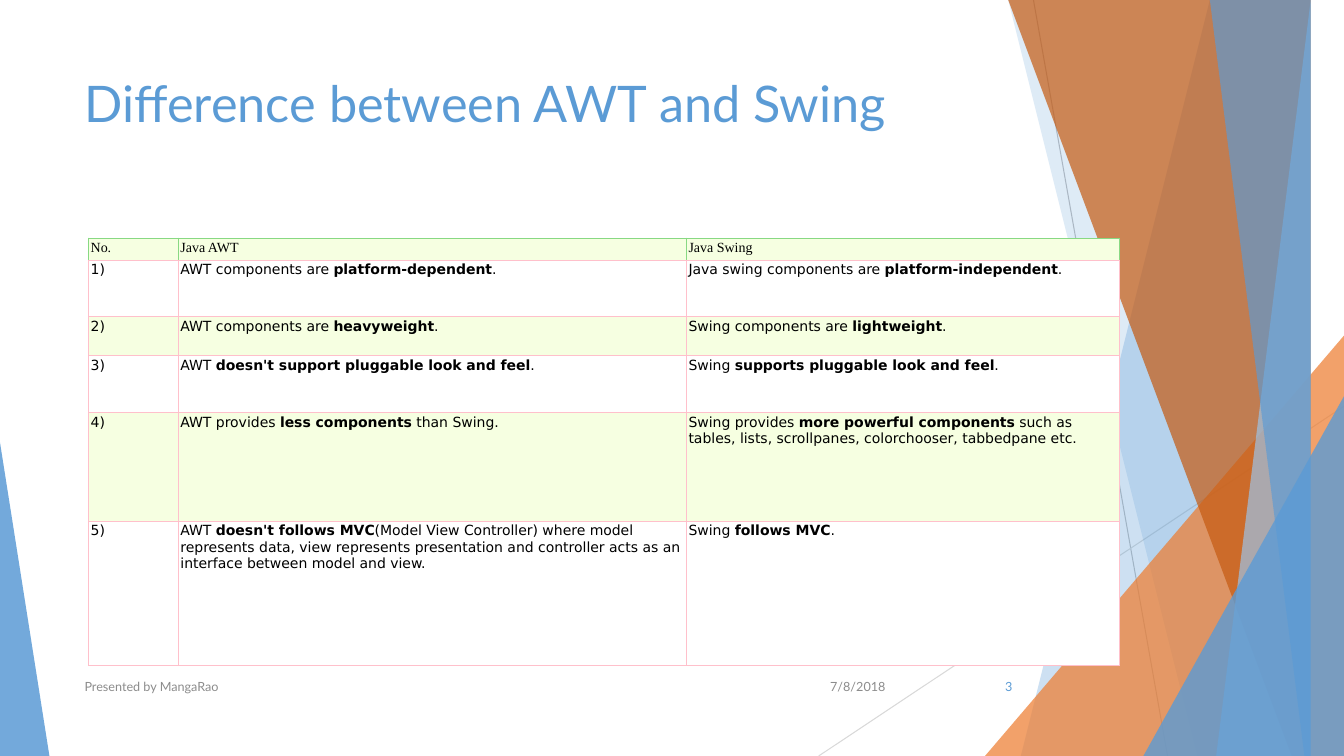
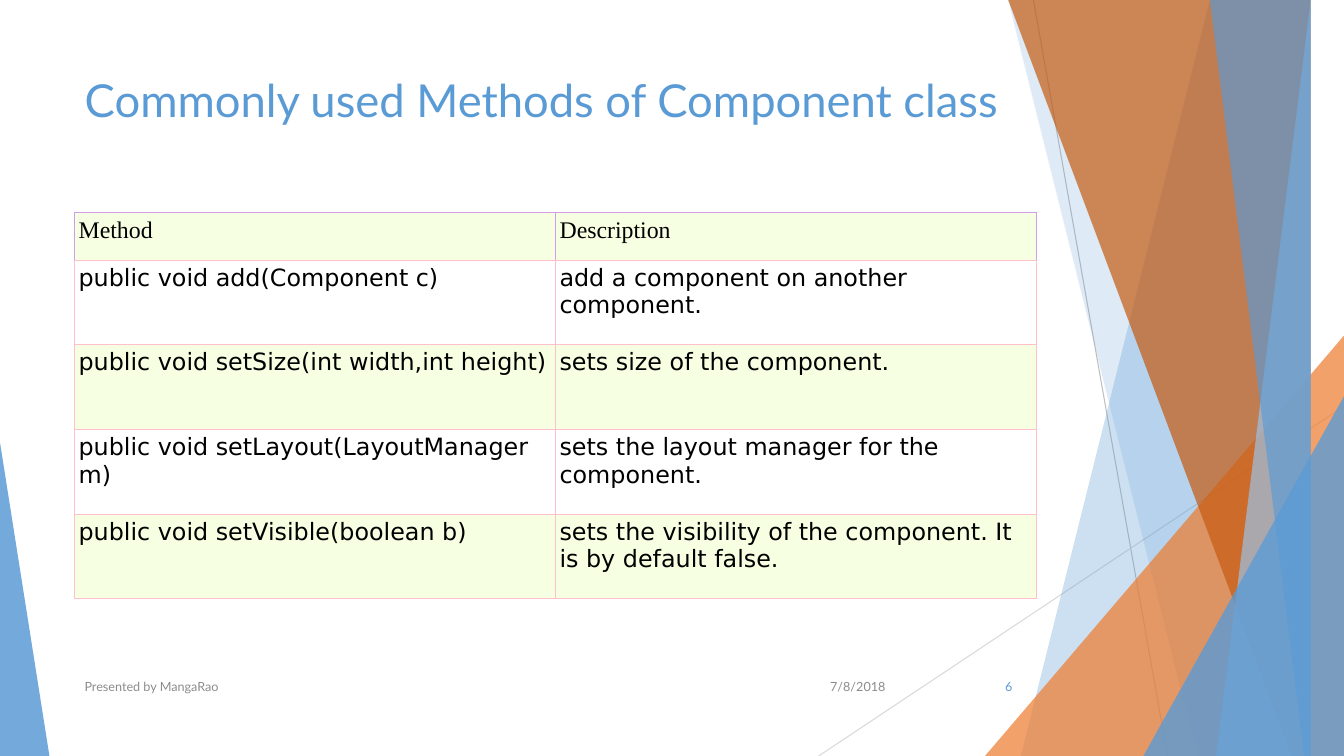
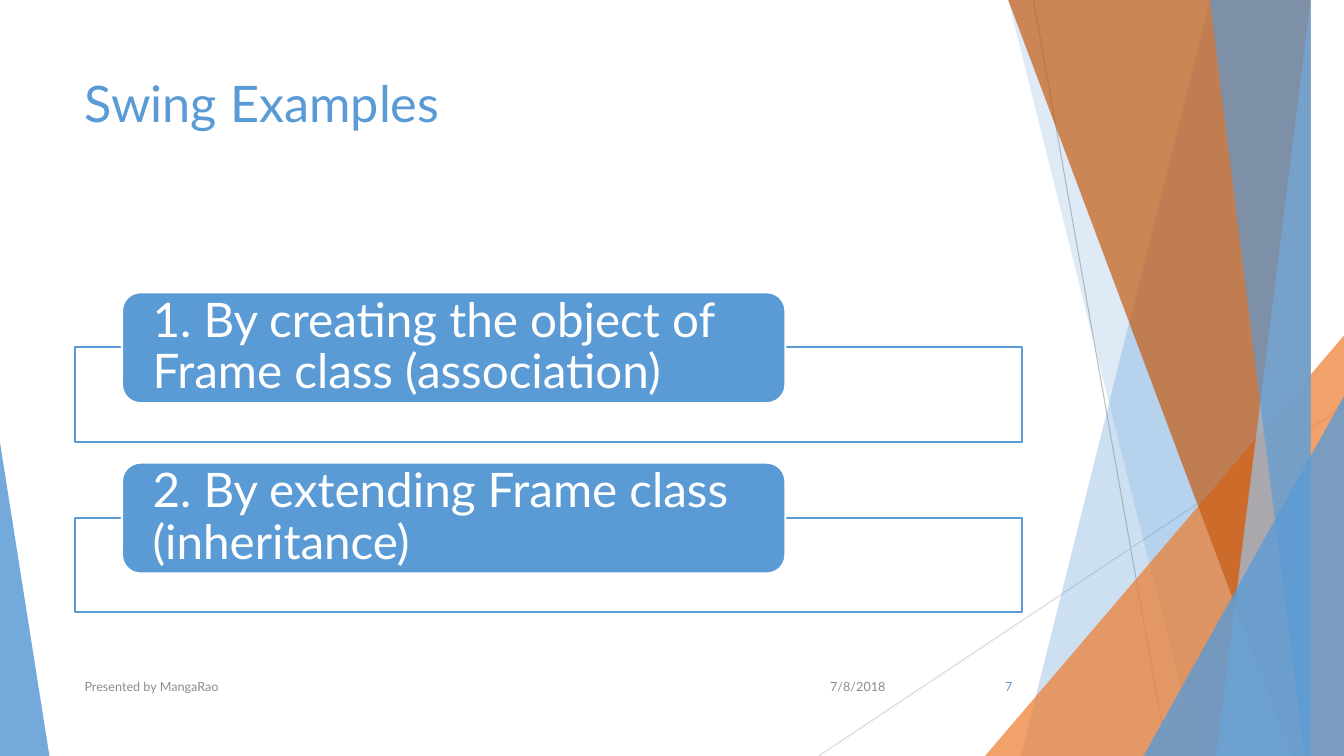
from pptx import Presentation
from pptx.dml.color import RGBColor as RGB
from pptx.enum.shapes import MSO_CONNECTOR as CON, MSO_SHAPE as SHAPE
from pptx.enum.text import MSO_ANCHOR as ANCHOR, MSO_AUTO_SIZE as FIT, PP_ALIGN as ALIGN
from pptx.oxml.ns import qn
from pptx.util import Inches, Pt
from lxml.etree import SubElement

BLUE = RGB(0x5B, 0x9B, 0xD5)
SKY = RGB(0x9D, 0xC3, 0xE6)
ORANGE = RGB(0xED, 0x7D, 0x31)
RUST = RGB(0xC5, 0x5A, 0x11)
GRAY = RGB(0x8C, 0x8C, 0x8C)
SILVER = RGB(0xBF, 0xBF, 0xBF)
PALE = RGB(0xD9, 0xD9, 0xD9)
WHITE = RGB(0xFF, 0xFF, 0xFF)
BLACK = RGB(0, 0, 0)
CREAM = RGB(0xF6, 0xFF, 0xE1)
PINK = RGB(0xFF, 0xC0, 0xCB)
GREEN = RGB(0x88, 0xD9, 0x83)
LILAC = RGB(0xD0, 0x9F, 0xE8)
SANS, SERIF, TITLE = "DejaVu Sans", "Times New Roman", "Lato"
WIDE, HIGH, LEFT, SPAN = 13.33, 7.5, 0.74, 9.4


class Deck:
    """Hold the shared style and the current slide."""

    def __init__(self):
        self.prs = Presentation()
        self.prs.slide_width = Inches(WIDE)
        self.prs.slide_height = Inches(HIGH)
        self.slide = None

    def page(self, title, num, size=36):
        self.slide = self.prs.slides.add_slide(self.prs.slide_layouts[5])
        self.decor()
        self.title(title, size)
        self.label("7/8/2018", 7.88, 1, GRAY, ALIGN.RIGHT)
        self.label("Presented by MangaRao", LEFT, 6.89, GRAY, ALIGN.LEFT)
        self.label(str(num), 9.39, 0.75, BLUE, ALIGN.RIGHT)

    def decor(self):
        self.line(10.25, 0, 11.58, HIGH, SILVER)
        self.line(WIDE, 4.03, 8.12, HIGH, PALE)
        self.band(12.28, 10.04, BLUE, 30)
        self.band(10.5, 11.83, BLUE, 20)
        self.wedge(9.77, 3.33, 3.56, 1, ORANGE, 72)
        self.band(10.21, 12.91, RUST, 70)
        self.band(13.03, 11.92, SKY, 70)
        self.band(11.96, 13.18, BLUE, 65)
        self.wedge(11.34, 3.93, 1.99, 1, BLUE, 80)
        self.wedge(0, 4.39, 0.49, 0, BLUE, 85)

    def line(self, x1, y1, x2, y2, color):
        ends = [Inches(v) for v in (x1, y1, x2, y2)]
        rule = self.slide.shapes.add_connector(CON.STRAIGHT, *ends)
        rule.line.color.rgb = color
        rule.line.width = Pt(0.75)
        SubElement(rule.element.spPr, qn("a:effectLst"))

    def paint(self, shape, color, alpha=100, edge=None):
        shape.shadow.inherit = False
        shape.fill.solid()
        shape.fill.fore_color.rgb = color
        if alpha < 100:
            tint = shape.element.spPr.find(".//" + qn("a:srgbClr"))
            SubElement(tint, qn("a:alpha"), val=str(alpha * 1000))
        if edge is None:
            shape.line.fill.background()
        else:
            shape.line.color.rgb = edge
            shape.line.width = Pt(1.5)

    def band(self, top, base, color, alpha):
        form = self.slide.shapes.build_freeform(top, 0, scale=Inches(1))
        form.add_line_segments([(WIDE, 0), (WIDE, HIGH), (base, HIGH)])
        self.paint(form.convert_to_shape(), color, alpha)

    def shape(self, kind, x, y, w, h):
        return self.slide.shapes.add_shape(kind, Inches(x), Inches(y), Inches(w), Inches(h))

    def wedge(self, x, y, w, tip, color, alpha):
        wedge = self.shape(SHAPE.ISOSCELES_TRIANGLE, x, y, w, HIGH - y)
        wedge.adjustments[0] = tip
        self.paint(wedge, color, alpha)

    def run(self, para, text, size, color, font=TITLE, bold=False):
        run = para.add_run()
        run.text = text
        run.font.size = Pt(size)
        run.font.name = font
        run.font.bold = bold
        run.font.color.rgb = color

    def title(self, text, size):
        head = self.slide.shapes.title
        head.left, head.top = Inches(LEFT), Inches(0.67)
        head.width, head.height = Inches(SPAN), Inches(1.44)
        frame = head.text_frame
        frame.auto_size = FIT.NONE
        frame.vertical_anchor = ANCHOR.TOP
        para = frame.paragraphs[0]
        para.alignment = ALIGN.LEFT
        self.run(para, text, size, BLUE)

    def label(self, text, x, w, color, align):
        box = self.slide.shapes.add_textbox(Inches(x), Inches(6.61), Inches(w), Inches(0.4))
        frame = box.text_frame
        frame.word_wrap = True
        frame.vertical_anchor = ANCHOR.MIDDLE
        para = frame.paragraphs[0]
        para.alignment = align
        self.run(para, text, 9, color)

    def border(self, cell, color, base):
        props = cell._tc.get_or_add_tcPr()
        for side in "LRTB":
            line = SubElement(props, qn("a:ln" + side), w=str(Pt(0.6)))
            fill = SubElement(line, qn("a:solidFill"))
            SubElement(fill, qn("a:srgbClr"), val=str(base if side == "B" else color))

    def cell(self, cell, text, size, pad, font, fill, edge):
        cell.margin_left = cell.margin_right = Inches(pad)
        cell.margin_top = cell.margin_bottom = Inches(pad)
        self.border(cell, edge, PINK)
        cell.fill.solid()
        cell.fill.fore_color.rgb = fill
        para = cell.text_frame.paragraphs[0]
        for i, part in enumerate(text.split("*")):
            if part:
                self.run(para, part, size, BLACK, font, i % 2 == 1)

    def table(self, x, y, cols, rows, data, size, pad, edge):
        grid = self.slide.shapes.add_table(
            len(rows), len(cols), Inches(x), Inches(y), Inches(sum(cols)), Inches(sum(rows))
        ).table
        grid.first_row = grid.horz_banding = False
        for col, w in zip(grid.columns, cols):
            col.width = Inches(w)
        for r, (row, h) in enumerate(zip(grid.rows, rows)):
            row.height = Inches(h)
            font, rim = (SANS, PINK) if r else (SERIF, edge)
            fill = WHITE if r % 2 else CREAM
            for cell, text in zip(row.cells, data[r]):
                self.cell(cell, text, size, pad, font, fill, rim)

    def card(self, text, y):
        frame = self.shape(SHAPE.RECTANGLE, LEFT, y + 0.545, SPAN, 0.94)
        self.paint(frame, WHITE, 90, BLUE)
        pill = self.shape(SHAPE.ROUNDED_RECTANGLE, 1.21, y, 6.58, 1.1)
        self.paint(pill, BLUE, edge=WHITE)
        body = pill.text_frame
        body.word_wrap = True
        body.vertical_anchor = ANCHOR.MIDDLE
        body.margin_left = body.margin_right = Inches(0.25)
        body.margin_top = body.margin_bottom = 0
        para = body.paragraphs[0]
        para.alignment = ALIGN.LEFT
        para.line_spacing = 0.9
        self.run(para, text, 34, WHITE)


def main():
    deck = Deck()

    deck.page("Difference between AWT and Swing", 3)
    diffs = [
        ("No.", "Java AWT", "Java Swing"),
        ("1)", "AWT components are *platform-dependent*.",
         "Java swing components are *platform-independent*."),
        ("2)", "AWT components are *heavyweight*.", "Swing components are *lightweight*."),
        ("3)", "AWT *doesn't support pluggable look and feel*.",
         "Swing *supports pluggable look and feel*."),
        ("4)", "AWT provides *less components* than Swing.",
         "Swing provides *more powerful components* such as tables, lists, "
         "scrollpanes, colorchooser, tabbedpane etc."),
        ("5)", "AWT *doesn't follows MVC*(Model View Controller) where model represents data, "
         "view represents presentation and controller acts as an interface "
         "between model and view.",
         "Swing *follows MVC*."),
    ]
    deck.table(0.88, 2.36, [0.89, 5.04, 4.29], [0.22, 0.56, 0.39, 0.56, 1.08, 1.43],
               diffs, 10, 0.02, GREEN)

    deck.page("Commonly used Methods of Component class", 6, 32.4)
    calls = [
        ("Method", "Description"),
        ("public void add(Component c)", "add a component on another component."),
        ("public void setSize(int width,int height)", "sets size of the component."),
        ("public void setLayout(LayoutManager m)", "sets the layout manager for the component."),
        ("public void setVisible(boolean b)",
         "sets the visibility of the component. It is by default false."),
    ]
    deck.table(LEFT, 2.11, [4.77] * 2, [0.47] + [0.84] * 4, calls, 17, 0.04, LILAC)

    deck.page("Swing Examples", 7)
    ways = ["1. By creating the object of Frame class (association)",
            "2. By extending Frame class (inheritance)"]
    for i, way in enumerate(ways):
        deck.card(way, 2.9 + 1.69 * i)

    deck.prs.save("out.pptx")


if __name__ == "__main__":
    main()
